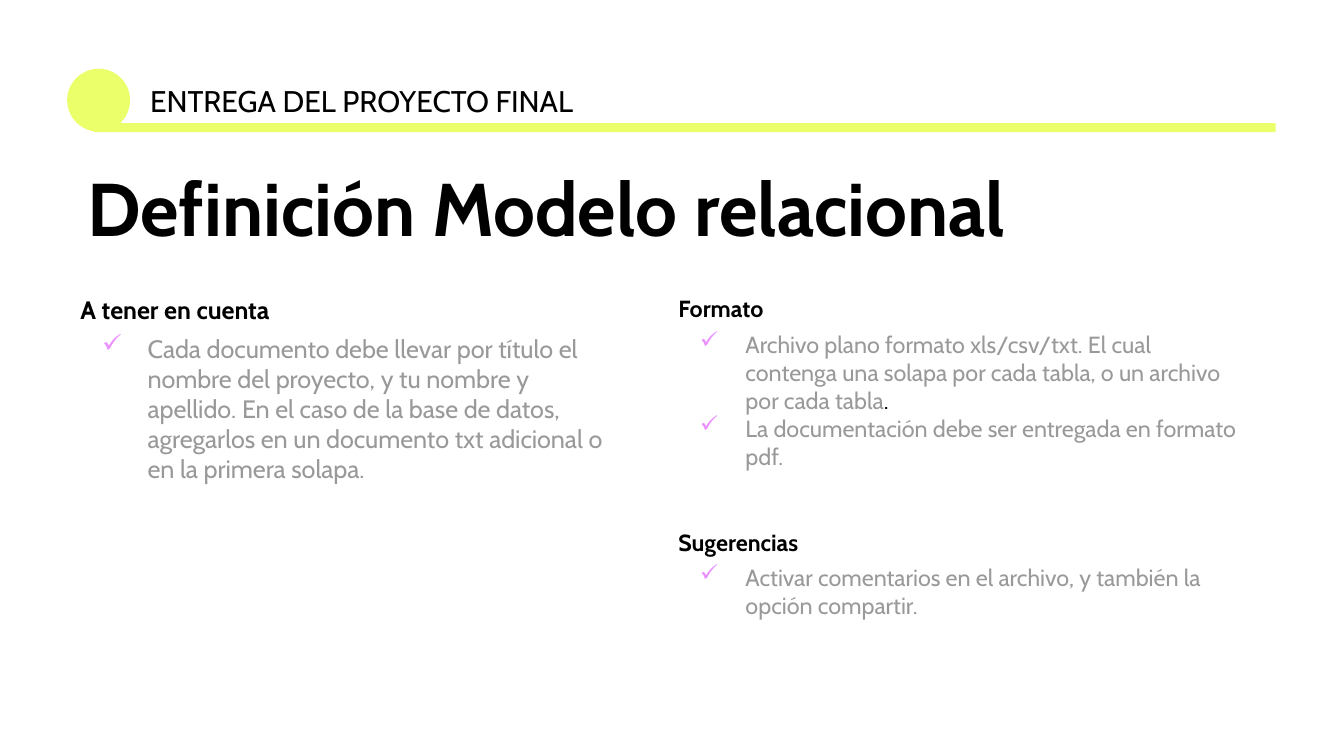
from dataclasses import dataclass

from lxml import etree
from pptx import Presentation
from pptx import util as u
from pptx.dml.color import RGBColor
from pptx.enum import shapes, text
from pptx.oxml import ns


@dataclass(frozen=True)
class Theme:
    font: str = "Cabin"
    ink: str = "000000"
    gray: str = "999999"
    lime: str = "EAFF6A"
    pink: str = "EA90FF"
    white: str = "FFFFFF"
    title: float = 40
    label: float = 16
    left: float = 13.5
    right: float = 12.5
    inset: float = 0.25
    indent: float = 1.27
    hang: float = 0.86
    gap: float = 0.34
    block: float = 31


class Deck:
    def __init__(self, theme):
        self.theme = theme
        self.file = Presentation()
        self.file.slide_width = u.Cm(25.4)
        self.file.slide_height = u.Cm(14.29)
        self.slide = self.file.slides.add_slide(self.file.slide_layouts[5])
        fill = self.slide.background.fill
        fill.solid()
        fill.fore_color.rgb = RGBColor.from_string(theme.white)

    def shape(self, kind, *box):
        item = self.slide.shapes.add_shape(kind, *map(u.Cm, box))
        item.shadow.inherit = False
        item.fill.solid()
        item.fill.fore_color.rgb = RGBColor.from_string(self.theme.lime)
        item.line.fill.background()

    def frame(self, item, anchor):
        frame = item.text_frame
        frame.word_wrap = True
        frame.auto_size = text.MSO_AUTO_SIZE.NONE
        frame.vertical_anchor = anchor
        for side in ("left", "top", "right", "bottom"):
            setattr(frame, "margin_" + side, u.Cm(self.theme.inset))
        return frame

    def run(self, para, words, size, color, bold=False):
        run = para.add_run()
        run.text = words
        font = run.font
        font.name, font.size, font.bold = self.theme.font, u.Pt(size), bold
        font.color.rgb = RGBColor.from_string(color)

    def title(self, words, *box):
        item = self.slide.shapes.title
        item.left, item.top, item.width, item.height = map(u.Cm, box)
        para = self.frame(item, text.MSO_ANCHOR.TOP).paragraphs[0]
        para.alignment = text.PP_ALIGN.LEFT
        para.line_spacing = 0.9
        self.run(para, words, self.theme.title, self.theme.ink, True)

    def label(self, words, *box):
        item = self.slide.shapes.add_textbox(*map(u.Cm, box))
        para = self.frame(item, text.MSO_ANCHOR.MIDDLE).paragraphs[0]
        self.run(para, words, self.theme.label, self.theme.ink)

    def bullet(self, para):
        props = para._p.get_or_add_pPr()
        props.set("marL", str(u.Cm(self.theme.indent)))
        props.set("indent", str(-u.Cm(self.theme.hang)))
        tint = etree.SubElement(props, ns.qn("a:buClr"))
        etree.SubElement(tint, ns.qn("a:srgbClr"), val=self.theme.pink)
        etree.SubElement(props, ns.qn("a:buChar"), char="✓")

    def column(self, groups, size, *box):
        item = self.slide.shapes.add_textbox(*map(u.Cm, box))
        frame = self.frame(item, text.MSO_ANCHOR.TOP)
        for rank, (head, points) in enumerate(groups):
            para = frame.add_paragraph() if rank else frame.paragraphs[0]
            para.space_before = u.Pt(self.theme.block if rank else 0)
            self.run(para, head, size, self.theme.ink, True)
            for place, runs in enumerate(points):
                para = frame.add_paragraph()
                para.space_before = u.Pt(0 if place else round(size * self.theme.gap, 1))
                self.bullet(para)
                for words, color in runs:
                    self.run(para, words, size, color)


def main():
    theme = Theme()
    deck = Deck(theme)
    kinds = shapes.MSO_SHAPE
    deck.shape(kinds.OVAL, 1.27, 1.3, 1.19, 1.19)
    deck.title("Definición Modelo relacional", 1.4, 3, 20.3, 2.06)
    deck.label("ENTREGA DEL PROYECTO FINAL", 2.59, 1.3, 8.89, 1.19)
    deck.shape(kinds.RECTANGLE, 1.78, 2.33, 22.33, 0.17)

    form = [
        [
            ("Archivo plano formato xls/csv/txt. El cual contenga una solapa "
             "por cada tabla, o un archivo por cada tabla", theme.gray),
            (".", theme.ink),
        ],
        [("La documentación debe ser entregada en formato pdf.", theme.gray)],
    ]
    hints = [[("Activar comentarios en el archivo, y también la opción compartir.",
               theme.gray)]]
    notes = [[("Cada documento debe llevar por título el nombre del proyecto, "
               "y tu nombre y apellido. En el caso de la base de datos, "
               "agregarlos en un documento txt adicional o en la primera solapa.",
               theme.gray)]]
    deck.column([("Formato", form), ("Sugerencias", hints)],
                theme.right, 12.57, 5.31, 11.25, 6.76)
    deck.column([("A tener en cuenta", notes)],
                theme.left, 1.27, 5.31, 10.64, 4.14)
    deck.file.save("out.pptx")


if __name__ == "__main__":
    main()
